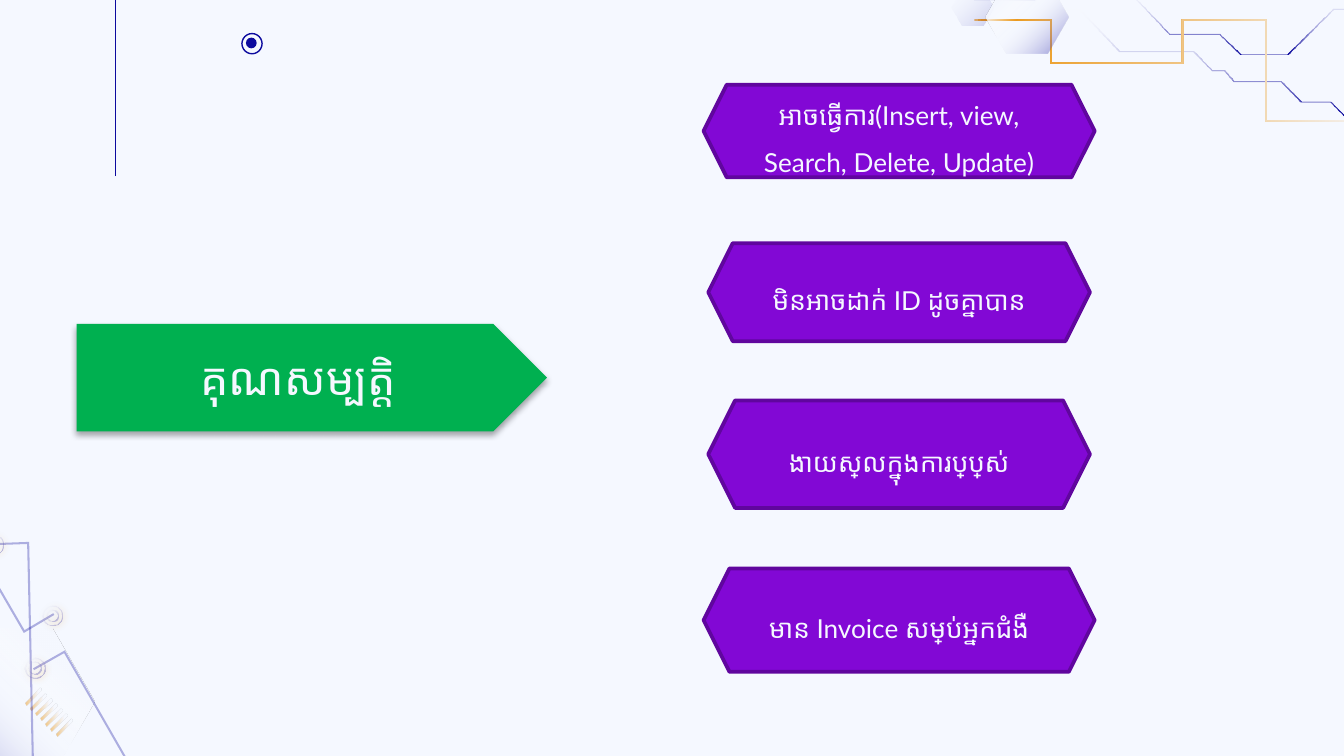
from dataclasses import dataclass
from math import hypot

from lxml import etree
from pptx import Presentation
from pptx.dml.color import RGBColor
from pptx.enum.shapes import MSO_CONNECTOR, MSO_SHAPE
from pptx.enum.text import MSO_ANCHOR, PP_ALIGN
from pptx.oxml.ns import qn
from pptx.util import Inches, Pt

STRAIGHT = MSO_CONNECTOR.STRAIGHT
HEXAGON, PENTAGON = MSO_SHAPE.HEXAGON, MSO_SHAPE.PENTAGON
DONUT, OVAL = MSO_SHAPE.DONUT, MSO_SHAPE.OVAL
MIDDLE, CENTER = MSO_ANCHOR.MIDDLE, PP_ALIGN.CENTER

Point = tuple[float, float]


@dataclass(frozen=True)
class Theme:
    pale: str = "F5F8FF"
    white: str = "FFFFFF"
    navy: str = "0C0A9E"
    orange: str = "EB9109"
    purple: str = "8208D5"
    violet: str = "60069E"
    green: str = "00B050"
    black: str = "000000"
    body_font: str = "Lato"
    title_font: str = "Roboto"
    body_size: int = 14
    title_size: int = 24


THEME = Theme()


@dataclass(frozen=True)
class Stop:
    position: int
    color: str
    alpha: int = 100


@dataclass(frozen=True)
class Paint:
    """One stop is a flat colour; several are a linear gradient."""
    stops: tuple[Stop, ...]
    angle: int = 0


@dataclass(frozen=True)
class Shadow:
    color: str
    alpha: int
    blur: float
    distance: float
    angle: int


@dataclass(frozen=True)
class Trace:
    """A thin band along points in inches, its width in points of type."""
    points: tuple[Point, ...]
    paint: Paint
    width: float = 0.7


@dataclass(frozen=True)
class Feature:
    text: str
    top: float
    width: float
    height: float


def flat(color: str, alpha: int = 100) -> Paint:
    return Paint((Stop(0, color, alpha),))


GLASS_STOPS = (Stop(0, THEME.pale), Stop(22, THEME.pale), Stop(45, THEME.white, 0),
               Stop(100, THEME.navy, 50))
GLASS, MIRRORED_GLASS = Paint(GLASS_STOPS, 45), Paint(GLASS_STOPS, 135)
HAZE = Paint((Stop(0, THEME.navy, 20), Stop(100, THEME.white, 0)), 225)
RING = Paint((Stop(0, THEME.navy, 37), Stop(100, THEME.white, 0)), 225)
FIN = Paint((Stop(0, THEME.orange, 47), Stop(78, THEME.pale, 47), Stop(100, THEME.pale, 47)))
COPPER = Paint((Stop(0, THEME.orange), Stop(78, THEME.pale), Stop(100, THEME.pale)))
INK = Paint((Stop(0, THEME.navy), Stop(100, THEME.white, 0)), 270)
WIRE = flat(THEME.navy, 31)
RING_SHADOW = Shadow(THEME.orange, 100, 3.4, 0.8, 38)
TITLE_SHADOW = Shadow(THEME.black, 35, 3.1, 1.8, 90)

WIRES = (
    Trace(((0.4, 4.57), (0.18, 4.7), (-0.75, 3.1)), WIRE, 1.1),
    Trace(((-0.06, 4.05), (0.21, 4.04), (0.25, 5.9)), WIRE, 1.1),
    Trace(((0.25, 4.98), (0.48, 4.85), (1.4, 6.45)), WIRE, 1.1),
)
RING_CENTERS = ((0.39, 4.58), (-0.05, 4.05), (0.26, 4.97))
CIRCUITS = (
    Trace(((7.2, 0.07), (8.03, 0.07), (8.33, 0.38), (8.88, 0.38), (9.02, 0.52),
           (9.11, 0.52), (9.18, 0.6), (9.53, 0.6), (9.68, 0.75), (9.9, 0.75),
           (10.01, 0.86), (10.57, 0.86), (10.99, 0.44), (11.48, 0.44)), INK),
    Trace(((7.25, 0), (7.7, 0), (7.8, -0.1), (8.36, -0.1), (8.7, 0.25), (9.07, 0.25),
           (9.23, 0.4), (9.58, 0.4), (9.92, 0.07), (10.17, 0.07)), INK),
    Trace(((7.25, 0.15), (7.82, 0.15), (7.82, 0.47), (8.8, 0.47), (8.8, 0.15),
           (9.42, 0.15), (9.42, 0.9), (10, 0.9), (10.2, 1.1), (10.77, 1.1), (10.77, 0.86),
           (11.04, 0.86), (11.04, 1.1), (11.17, 1.1), (11.17, 1.22), (11.21, 1.22)), COPPER),
)
FEATURES = (
    Feature("អាចធ្វើការ(Insert, view, Search, Delete, Update)", 0.63, 2.91, 0.69),
    Feature("មិនអាចដាក់ ID ដូចគ្នាបាន", 1.81, 2.84, 0.73),
    Feature("ងាយស្រួលក្នុងការប្រើប្រាស់", 2.98, 2.84, 0.8),
    Feature("មាន Invoice សម្រាប់អ្នកជំងឺ", 4.23, 2.91, 0.77),
)
FEATURE_CENTER = 6.69


def add_color(parent, color: str, alpha: int) -> None:
    node = etree.SubElement(parent, qn("a:srgbClr"), val=color)
    if alpha < 100:
        etree.SubElement(node, qn("a:alpha"), val=str(alpha * 1000))


def style(shape, paint: Paint, shadow: Shadow | None = None) -> None:
    """Fill the shape, remove its outline and set its shadow."""
    shape.line.fill.background()
    shape.shadow.inherit = False
    shape.fill.background()
    properties = shape._element.spPr
    blank = properties.find(qn("a:noFill"))
    if len(paint.stops) == 1:
        fill = etree.Element(qn("a:solidFill"))
        add_color(fill, paint.stops[0].color, paint.stops[0].alpha)
    else:
        fill = etree.Element(qn("a:gradFill"), rotWithShape="1")
        stops = etree.SubElement(fill, qn("a:gsLst"))
        for stop in paint.stops:
            node = etree.SubElement(stops, qn("a:gs"), pos=str(stop.position * 1000))
            add_color(node, stop.color, stop.alpha)
        etree.SubElement(fill, qn("a:lin"), ang=str(paint.angle * 60000), scaled="0")
    properties.replace(blank, fill)
    if shadow:
        node = etree.SubElement(properties.find(qn("a:effectLst")), qn("a:outerShdw"),
                                blurRad=str(Pt(shadow.blur)), dist=str(Pt(shadow.distance)),
                                dir=str(shadow.angle * 60000), algn="ctr", rotWithShape="0")
        add_color(node, shadow.color, shadow.alpha)


def add_preset(slide, kind, left: float, top: float, width: float, height: float,
               paint: Paint, shadow: Shadow | None = None):
    shape = slide.shapes.add_shape(kind, Inches(left), Inches(top), Inches(width), Inches(height))
    style(shape, paint, shadow)
    return shape


def add_polygon(slide, points: list[Point], paint: Paint) -> None:
    corners = [(Inches(x), Inches(y)) for x, y in points]
    builder = slide.shapes.build_freeform(*corners[0], scale=1.0)
    builder.add_line_segments(corners[1:], close=True)
    style(builder.convert_to_shape(), paint)


def add_trace(slide, trace: Trace) -> None:
    """Outline a mitred band around the trace's centre line."""
    normals = []
    for (x1, y1), (x2, y2) in zip(trace.points, trace.points[1:]):
        length = hypot(x2 - x1, y2 - y1)
        normals.append(((y1 - y2) / length, (x2 - x1) / length))
    one_side, other_side = [], []
    for (x, y), (ax, ay), (bx, by) in zip(trace.points, normals[:1] + normals,
                                          normals + normals[-1:]):
        reach = Pt(trace.width).inches / 2 / (1 + ax * bx + ay * by)
        dx, dy = (ax + bx) * reach, (ay + by) * reach
        one_side.append((x + dx, y + dy))
        other_side.append((x - dx, y - dy))
    add_polygon(slide, one_side + other_side[::-1], trace.paint)


def add_ring(slide, center: Point, size: float) -> None:
    ring = add_preset(slide, DONUT, center[0] - size / 2, center[1] - size / 2, size, size,
                      RING, RING_SHADOW)
    ring.adjustments[0] = 0.01 / size


def add_glass_hexagon(slide, left: float, top: float, width: float, height: float,
                      paint: Paint) -> None:
    add_preset(slide, HEXAGON, left, top, width, height, paint).adjustments[0] = 0.29


def write(shape, text: str, font: str, size: int, spacing: float) -> None:
    frame = shape.text_frame
    frame.word_wrap = True
    frame.vertical_anchor = MIDDLE
    paragraph = frame.paragraphs[0]
    paragraph.text = text
    paragraph.alignment = CENTER
    paragraph.line_spacing = spacing
    paragraph.font.name = font
    paragraph.font.size = Pt(size)
    paragraph.font.color.rgb = RGBColor.from_string(THEME.pale)


def outline(shape, color: str, width: float) -> None:
    shape.line.color.rgb = RGBColor.from_string(color)
    shape.line.width = Pt(width)


def add_decoration(slide) -> None:
    add_glass_hexagon(slide, -0.55, 4.68, 1.25, 1.08, MIRRORED_GLASS)
    for index in range(7):
        shift = index * 0.038
        add_polygon(slide, [(x + shift, y + shift) for x, y in
                            ((0.3, 5.12), (0.19, 5.23), (0.2, 5.25), (0.31, 5.14))], FIN)
    for wire, center in zip(WIRES, RING_CENTERS):
        add_trace(slide, wire)
        for size in (0.15, 0.09):
            if center[0] + size / 2 > 0:
                add_ring(slide, center, size)
    for circuit in CIRCUITS:
        add_trace(slide, circuit)
    add_glass_hexagon(slide, 7.08, -0.08, 0.31, 0.27, HAZE)
    add_glass_hexagon(slide, 7.33, -0.14, 0.62, 0.54, GLASS)

    target = add_preset(slide, OVAL, 1.8, 0.25, 0.15, 0.15, flat(THEME.navy))
    target.fill.background()
    outline(target, THEME.navy, 0.75)
    rule = slide.shapes.add_connector(STRAIGHT, Inches(0.86), Inches(1.31),
                                      Inches(0.86), Inches(-0.66))
    outline(rule, THEME.navy, 0.75)
    etree.SubElement(rule._element.spPr, qn("a:effectLst"))
    add_preset(slide, OVAL, 1.83, 0.28, 0.08, 0.08, flat(THEME.navy))


def main() -> None:
    deck = Presentation()
    deck.slide_width = Inches(10)
    deck.slide_height = deck.slide_width * 9 // 16
    slide = deck.slides.add_slide(deck.slide_layouts[6])
    slide.background.fill.solid()
    slide.background.fill.fore_color.rgb = RGBColor.from_string(THEME.pale)
    add_decoration(slide)
    for feature in FEATURES:
        box = add_preset(slide, HEXAGON, FEATURE_CENTER - feature.width / 2, feature.top,
                         feature.width, feature.height, flat(THEME.purple))
        outline(box, THEME.violet, 2)
        write(box, feature.text, THEME.body_font, THEME.body_size, 1.5)
    title = add_preset(slide, PENTAGON, 0.57, 2.41, 3.5, 0.8, flat(THEME.green), TITLE_SHADOW)
    write(title, "គុណសម្បត្ដិ", THEME.title_font, THEME.title_size, 1.0)
    deck.save("out.pptx")


if __name__ == "__main__":
    main()
